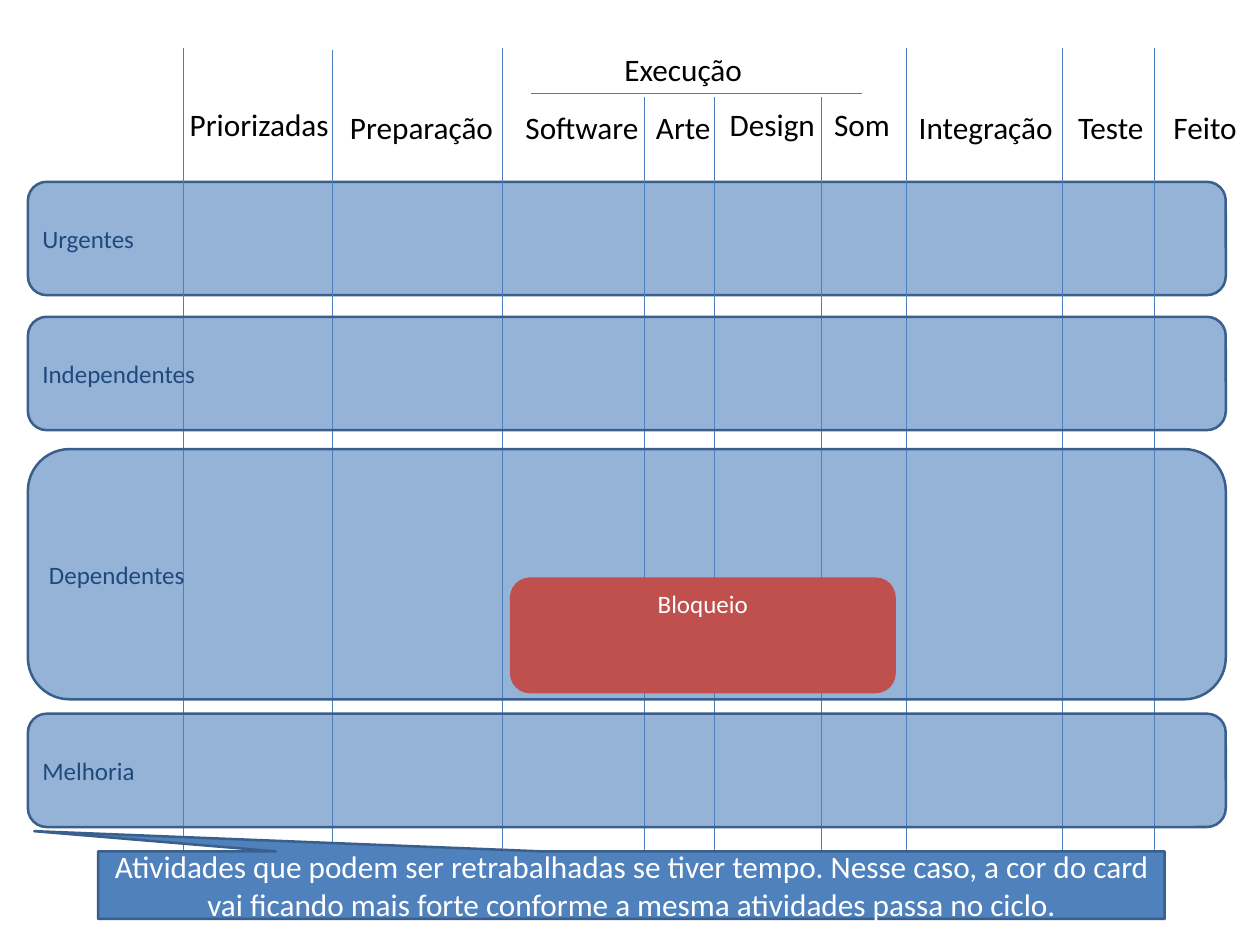
"""Build a kanban board slide with swim lanes, stage columns and a callout."""
from dataclasses import dataclass

import pptx
import pptx.dml.color
import pptx.enum.shapes
import pptx.enum.text
import pptx.oxml
import pptx.oxml.ns
import pptx.util
from pptx.util import Inches

SHAPE = pptx.enum.shapes.MSO_SHAPE
ANCHOR = pptx.enum.text.MSO_ANCHOR
ALIGN = pptx.enum.text.PP_ALIGN


@dataclass(frozen=True)
class Theme:
    """Colours, font and type sizes of the board."""
    font: str = "Calibri"
    blue: str = "4F81BD"
    outline: str = "3A5F8C"
    divider: str = "4B7EBC"
    red: str = "C0504D"
    navy: str = "1F497D"
    black: str = "000000"
    white: str = "FFFFFF"
    heading_size: float = 25
    lane_size: float = 20
    outline_width: float = 2
    divider_width: float = 0.75
    lane_opacity: int = 60


THEME = Theme()
LANE_LEFT, LANE_WIDTH, LANE_HEIGHT = 0.31, 13.31, 1.26
HEADING_HEIGHT = 0.52
HEADINGS = [
    ("Priorizadas", 2.01, 1.12, 1.76),
    ("Preparação", 3.79, 1.15, 1.81),
    ("Execução", 6.84, 0.51, 1.52),
    ("Software", 5.74, 1.15, 1.48),
    ("Arte", 7.19, 1.15, 0.82),
    ("Design", 8.01, 1.12, 1.16),
    ("Som", 9.17, 1.12, 0.83),
    ("Integração", 10.11, 1.15, 1.71),
    ("Teste", 11.88, 1.15, 0.94),
    ("Feito", 12.94, 1.15, 0.91),
]
STAGE_DIVIDERS = [2.04, 5.58, 10.07, 11.8, 12.83]
EXECUTION_DIVIDERS = [7.16, 7.94, 9.13]
CALLOUT_TEXT = (
    "Atividades que podem ser retrabalhadas se tiver tempo. Nesse caso, a cor do card "
    "vai ficando mais forte conforme a mesma atividades passa no ciclo."
)


def rgb(value):
    """Return the colour for a hex string."""
    return pptx.dml.color.RGBColor.from_string(value)


def write(frame, text, size, color, align=ALIGN.LEFT, anchor=ANCHOR.TOP):
    """Put one formatted paragraph in a text frame."""
    frame.text = text
    frame.vertical_anchor = anchor
    paragraph = frame.paragraphs[0]
    paragraph.alignment = align
    font = paragraph.runs[0].font
    font.name = THEME.font
    font.size = pptx.util.Pt(size)
    font.color.rgb = rgb(color)


def add_panel(slide, preset, box, fill, outline):
    """Add a filled and outlined preset shape."""
    panel = slide.shapes.add_shape(preset, *map(Inches, box))
    panel.shadow.inherit = False
    panel.fill.solid()
    panel.fill.fore_color.rgb = rgb(fill)
    panel.line.color.rgb = rgb(outline)
    panel.line.width = pptx.util.Pt(THEME.outline_width)
    panel.text_frame.word_wrap = True
    return panel


def add_lane(slide, label, top, height=LANE_HEIGHT):
    """Add a translucent swim lane with its label."""
    lane = add_panel(slide, SHAPE.ROUNDED_RECTANGLE,
                     (LANE_LEFT, top, LANE_WIDTH, height), THEME.blue, THEME.outline)
    color = lane.fill._xPr.find(".//" + pptx.oxml.ns.qn("a:srgbClr"))
    alpha = pptx.oxml.parse_xml("<a:alpha %s val='%d'/>" % (
        pptx.oxml.ns.nsdecls("a"), THEME.lane_opacity * 1000))
    color.append(alpha)
    write(lane.text_frame, label, THEME.lane_size, THEME.navy, anchor=ANCHOR.MIDDLE)


def add_heading(slide, label, left, top, width):
    """Add a column heading."""
    heading = slide.shapes.add_textbox(
        *map(Inches, (left, top, width, HEADING_HEIGHT)))
    frame = heading.text_frame
    frame.word_wrap = False
    frame.auto_size = pptx.enum.text.MSO_AUTO_SIZE.SHAPE_TO_FIT_TEXT
    write(frame, label, THEME.heading_size, THEME.black)


def add_divider(slide, x1, y1, x2, y2):
    """Add a thin straight line."""
    divider = slide.shapes.add_connector(
        pptx.enum.shapes.MSO_CONNECTOR.STRAIGHT, *map(Inches, (x1, y1, x2, y2)))
    divider.line.color.rgb = rgb(THEME.divider)
    divider.line.width = pptx.util.Pt(THEME.divider_width)
    effects = pptx.oxml.parse_xml("<a:effectLst %s/>" % pptx.oxml.ns.nsdecls("a"))
    divider._element.spPr.append(effects)


def add_dividers(slide):
    """Add the column dividers and the rule under the execution heading."""
    for x in STAGE_DIVIDERS:
        add_divider(slide, x, 0.53, x, 9.46)
    add_divider(slide, 3.69, 0.56, 3.69, 9.5)
    for x in EXECUTION_DIVIDERS:
        add_divider(slide, x, 1.08, x, 9.56)
    add_divider(slide, 5.9, 1.04, 9.58, 1.04)


def add_block(slide):
    """Add the red blocking card."""
    block = add_panel(slide, SHAPE.ROUNDED_RECTANGLE,
                      (5.68, 6.43, 4.26, LANE_HEIGHT), THEME.red, THEME.red)
    write(block.text_frame, "Bloqueio", THEME.lane_size, THEME.white, ALIGN.CENTER)


def add_callout(slide):
    """Add the callout that explains the improvement lane."""
    callout = add_panel(slide, SHAPE.RECTANGULAR_CALLOUT,
                        (1.09, 9.46, 11.85, 0.75), THEME.blue, THEME.outline)
    callout.adjustments[0] = -0.56
    callout.adjustments[1] = -0.8
    write(callout.text_frame, CALLOUT_TEXT, THEME.heading_size, THEME.white,
          ALIGN.CENTER, ANCHOR.MIDDLE)


def main():
    """Build and save the slide."""
    deck = pptx.Presentation()
    deck.slide_width, deck.slide_height = Inches(14), Inches(10.5)
    slide = deck.slides.add_slide(deck.slide_layouts[6])
    add_lane(slide, "Urgentes", 2.02)
    for heading in HEADINGS:
        add_heading(slide, *heading)
    add_dividers(slide)
    add_lane(slide, "Dependentes", 4.99, 2.78)
    add_lane(slide, "Independentes", 3.52)
    add_block(slide)
    add_lane(slide, "Melhoria", 7.93)
    add_callout(slide)
    deck.save("out.pptx")


main()
